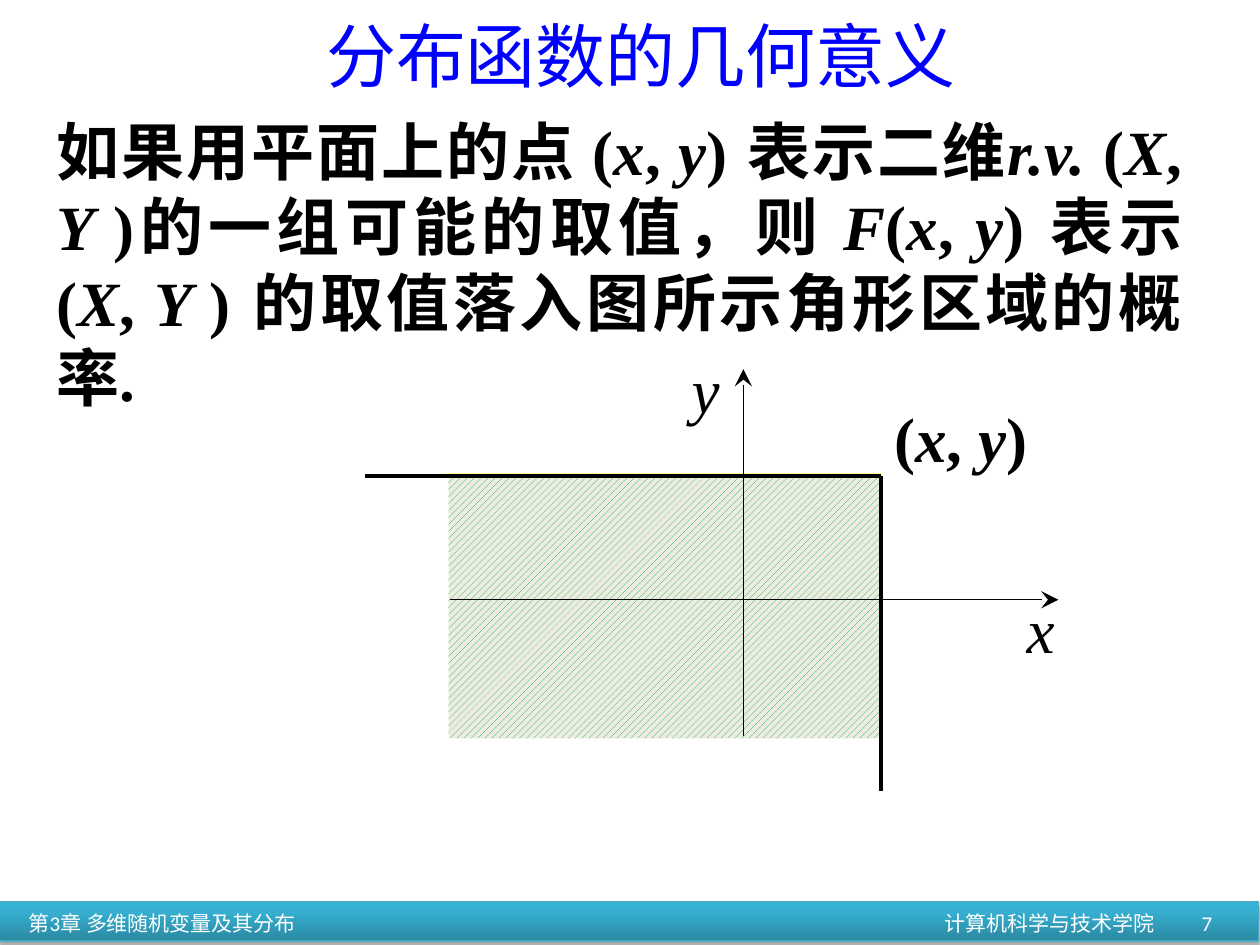
import pptx
import pptx.util
import pptx.dml.color
import pptx.enum.dml
import pptx.enum.shapes
import pptx.enum.text
import pptx.oxml
import pptx.oxml.ns

Inches = pptx.util.Inches
Pt = pptx.util.Pt
ALIGN = pptx.enum.text.PP_ALIGN
SERIF = "Times New Roman"
BLACK = "000000"
X_AXIS, Y_AXIS = 4.76, 5.9
CORNER_X, CORNER_Y = 6.99, 3.78


def color(hex_string):
    return pptx.dml.color.RGBColor.from_string(hex_string)


def dml(tag, attrs="", inner=""):
    ns = pptx.oxml.ns.nsdecls("a")
    return pptx.oxml.parse_xml(f"<a:{tag} {ns} {attrs}>{inner}</a:{tag}>")


def add_text(slide, box, text, size, font=SERIF, hex_color=BLACK, bold=False,
             align=ALIGN.LEFT, wrap=False, middle=False):
    """Add a text box; parts between '|' marks are alternately upright and italic."""
    tf = slide.shapes.add_textbox(*map(Inches, box)).text_frame
    tf.word_wrap = wrap
    if middle:
        tf.vertical_anchor = pptx.enum.text.MSO_ANCHOR.MIDDLE
    else:
        tf.auto_size = pptx.enum.text.MSO_AUTO_SIZE.SHAPE_TO_FIT_TEXT
    p = tf.paragraphs[0]
    p.alignment = align
    for i, part in enumerate(text.split("|")):
        if not part:
            continue
        r = p.add_run()
        r.text = part
        r.font.name = font
        r.font.size = Pt(size)
        r.font.bold = bold
        r.font.italic = i % 2 == 1
        r.font.color.rgb = color(hex_color)


def add_line(slide, start, end, hex_color=BLACK, width=0.75, arrow=False):
    line = slide.shapes.add_connector(
        pptx.enum.shapes.MSO_CONNECTOR.STRAIGHT, *map(Inches, start + end))
    line.line.color.rgb = color(hex_color)
    line.line.width = Pt(width)
    if arrow:
        line.line._get_or_add_ln().append(dml("tailEnd", 'type="stealth" w="lg" len="lg"'))
    line._element.spPr.append(dml("effectLst"))


def add_rect(slide, box):
    s = slide.shapes.add_shape(
        pptx.enum.shapes.MSO_SHAPE.RECTANGLE, *map(Inches, box))
    s.shadow.inherit = False
    return s


def add_footer(slide):
    bar = add_rect(slide, (-0.01, 7.16, 10, 0.31))
    bar.fill.gradient()
    bar.fill.gradient_angle = 90
    stops = bar._element.spPr.find(".//" + pptx.oxml.ns.qn("a:gsLst"))
    for stop in list(stops):
        stops.remove(stop)
    for pos, value in ((0, "2A88A2"), (80, "37B1D2"), (100, "34B4D6")):
        stops.append(dml("gs", f'pos="{pos * 1000}"', f'<a:srgbClr val="{value}"/>'))
    bar.line.color.rgb = color("46AAC5")
    bar.line.width = Pt(0.75)
    bar._element.spPr.find(pptx.oxml.ns.qn("a:effectLst")).append(dml(
        "outerShdw", f'blurRad="{Pt(3.1)}" dist="{Pt(1.8)}" dir="5400000" rotWithShape="0"',
        '<a:srgbClr val="000000"><a:alpha val="35000"/></a:srgbClr>'))
    for box, text, align in (
            ((0.13, 7.14, 4, 0.37), "第3章 多维随机变量及其分布", ALIGN.LEFT),
            ((6.26, 7.14, 3, 0.37), "计算机科学与技术学院", ALIGN.RIGHT),
            ((7.39, 7.14, 2.33, 0.37), "7", ALIGN.RIGHT)):
        add_text(slide, box, text, 12, "Calibri", "FFFFFF", align=align, wrap=True, middle=True)


def add_region(slide):
    """Hatched area below and left of the point (x, y)."""
    region = add_rect(slide, (3.56, CORNER_Y, 3.42, 2.08))
    region.fill.patterned()
    region.fill.pattern = pptx.enum.dml.MSO_PATTERN.WIDE_UPWARD_DIAGONAL
    region.fill.fore_color.rgb = color("00B050")
    region.fill.back_color.rgb = color("EEECE1")
    region.line.fill.background()
    for end in ((3.5, 3.76), (7, 5.84)):
        add_line(slide, (7, 3.76), end, "FFFF99")


def add_axes(slide):
    add_line(slide, (3.57, X_AXIS), (8.4, X_AXIS), arrow=True)
    add_line(slide, (Y_AXIS, 5.84), (Y_AXIS, 2.93), arrow=True)
    add_text(slide, (8.05, 4.64, 0.42, 0.7), "|x", 36)
    add_text(slide, (5.39, 2.73, 0.42, 0.7), "|y", 36)
    for end in ((2.9, CORNER_Y), (CORNER_X, 6.28)):
        add_line(slide, (CORNER_X, CORNER_Y), end, width=2.25)


def main():
    prs = pptx.Presentation()
    prs.slide_width, prs.slide_height = Inches(10), Inches(7.5)
    slide = prs.slides.add_slide(prs.slide_layouts[6])
    add_footer(slide)
    add_region(slide)
    add_text(slide, (2.49, 0.05, 5.2, 0.77), "分布函数的几何意义", 40, hex_color="0000FF")
    add_text(slide, (0.35, 0.84, 9.13, 1.92),
             "如果用平面上的点 (|x|, |y|) 表示二维|r.v. |(|X|, |Y |)的一组可能的取值，则 "
             "|F|(|x|, |y|) 表示 (|X|, |Y |) 的取值落入图所示角形区域的概率.",
             36, bold=True, align=ALIGN.JUSTIFY, wrap=True)
    add_text(slide, (7, 3.12, 1.26, 0.7), "(|x|, |y|)", 36, bold=True)
    add_axes(slide)
    prs.save("out.pptx")


if __name__ == "__main__":
    main()
